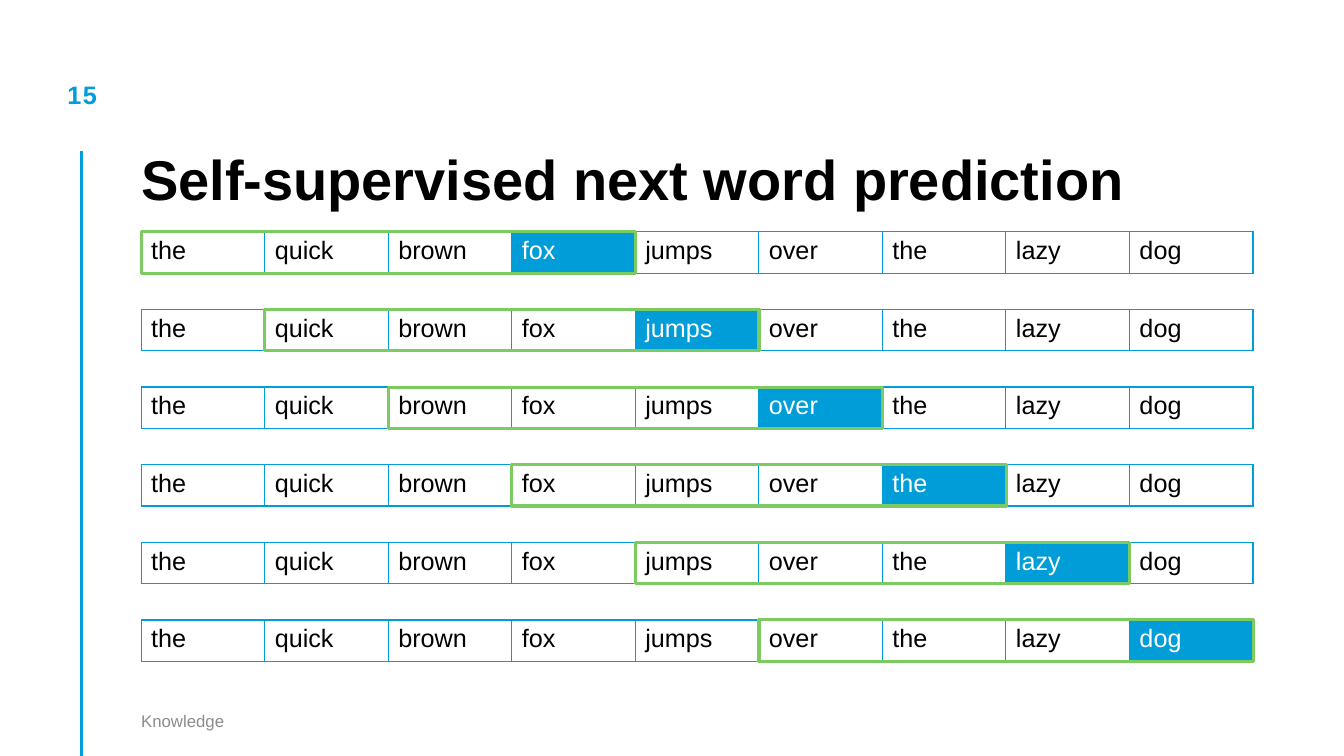
from lxml import etree
from pptx import Presentation
from pptx import util as u
from pptx.dml.color import RGBColor
from pptx.enum import shapes, text
from pptx.oxml.ns import qn

PX = 9144  # 100 px to the inch
FONT = "Arial"
COLORS = {"blue": "009DD9", "green": "7CCA62", "black": "000000",
          "white": "FFFFFF", "grey": "8C8C8C"}
WORDS = "the quick brown fox jumps over the lazy dog".split()
WINDOW = 4  # three context words and the predicted one


def px(n):
    return u.Emu(n * PX)


def rgb(name):
    return RGBColor.from_string(COLORS[name])


def style(p, size, color, bold=False):
    for r in p.runs:
        f = r.font
        f.name, f.size, f.bold = FONT, u.Pt(size), bold
        f.color.rgb = rgb(color)


def set_margins(tf, x, y):
    tf.margin_left = tf.margin_right = px(x)
    tf.margin_top = tf.margin_bottom = px(y)


def add_label(s, box, words, size, color, bold=False, margin_y=0):
    tf = s.shapes.add_textbox(*map(px, box)).text_frame
    tf.word_wrap = True
    set_margins(tf, 0, margin_y)
    p = tf.paragraphs[0]
    p.text = words
    style(p, size, color, bold)
    return tf


def add_title(s, box, words):
    sp = s.shapes.title
    sp.left, sp.top, sp.width, sp.height = map(px, box)
    tf = sp.text_frame
    tf.text = words
    tf.word_wrap = True
    tf.auto_size = text.MSO_AUTO_SIZE.NONE
    tf.vertical_anchor = text.MSO_ANCHOR.BOTTOM
    set_margins(tf, 0, 0)
    p = tf.paragraphs[0]
    p.alignment = text.PP_ALIGN.LEFT
    p.line_spacing = u.Pt(40)
    style(p, 40, "black", True)


def add_margin(s, box):
    """Page number above a vertical rule that runs to the slide's foot."""
    x, y, w, h = box
    tf = add_label(s, (x, y, w, w), "15", 18, "blue", True)
    p = tf.paragraphs[0]
    p.alignment = text.PP_ALIGN.CENTER
    p.runs[0].font._element.set("spc", "100")

    rule_x = px(x + w // 2)
    rule = s.shapes.add_connector(shapes.MSO_CONNECTOR.STRAIGHT,
                                  rule_x, px(150), rule_x, px(y + h))
    rule.line.color.rgb = rgb("blue")
    rule.line.width = u.Pt(2)
    etree.SubElement(rule._element.spPr, qn("a:effectLst"))


def set_borders(cell):
    tc_pr = cell._tc.get_or_add_tcPr()
    for side in ("lnL", "lnR", "lnT", "lnB"):
        ln = etree.SubElement(tc_pr, qn("a:" + side), w=str(u.Pt(1)))
        fill = etree.SubElement(ln, qn("a:solidFill"))
        etree.SubElement(fill, qn("a:srgbClr"), val=COLORS["blue"])


def add_sentence(s, box, start):
    """One row of words, with the window that begins at word `start`."""
    x, y, w, h = map(px, box)
    col_w = w // len(WORDS)
    target = start + WINDOW - 1
    table = s.shapes.add_table(1, len(WORDS), x, y, w, h).table
    table.first_row = table.horz_banding = False
    for i, word in enumerate(WORDS):
        table.columns[i].width = col_w
        cell = table.cell(0, i)
        cell.text = word
        style(cell.text_frame.paragraphs[0], 18,
              "white" if i == target else "black")
        set_borders(cell)
        if i == target:
            cell.fill.solid()
            cell.fill.fore_color.rgb = rgb("blue")
        else:
            cell.fill.background()

    # Window outline
    sp = s.shapes.add_shape(shapes.MSO_SHAPE.RECTANGLE,
                            x + start * col_w, y, WINDOW * col_w, h)
    sp.shadow.inherit = False
    sp.fill.background()
    sp.line.color.rgb = rgb("green")
    sp.line.width = u.Pt(2.25)


def add_sentences(s, box):
    x, y, w, h = box
    row_h = 41
    count = len(WORDS) - WINDOW + 1
    step = (h - row_h) // (count - 1)
    for i in range(count):
        add_sentence(s, (x, y + i * step, w, row_h), i)


def main():
    prs = Presentation()
    prs.slide_width, prs.slide_height = px(1333), px(750)
    s = prs.slides.add_slide(prs.slide_layouts[5])  # title only

    add_margin(s, (53, 79, 57, 671))
    add_title(s, (140, 70, 1103, 140), "Self-supervised next word prediction")
    add_sentences(s, (140, 230, 1103, 426))

    # Footer
    tf = add_label(s, (140, 695, 450, 40), "Knowledge", 12, "grey", margin_y=5)
    tf.vertical_anchor = text.MSO_ANCHOR.MIDDLE

    prs.save("out.pptx")


if __name__ == "__main__":
    main()
